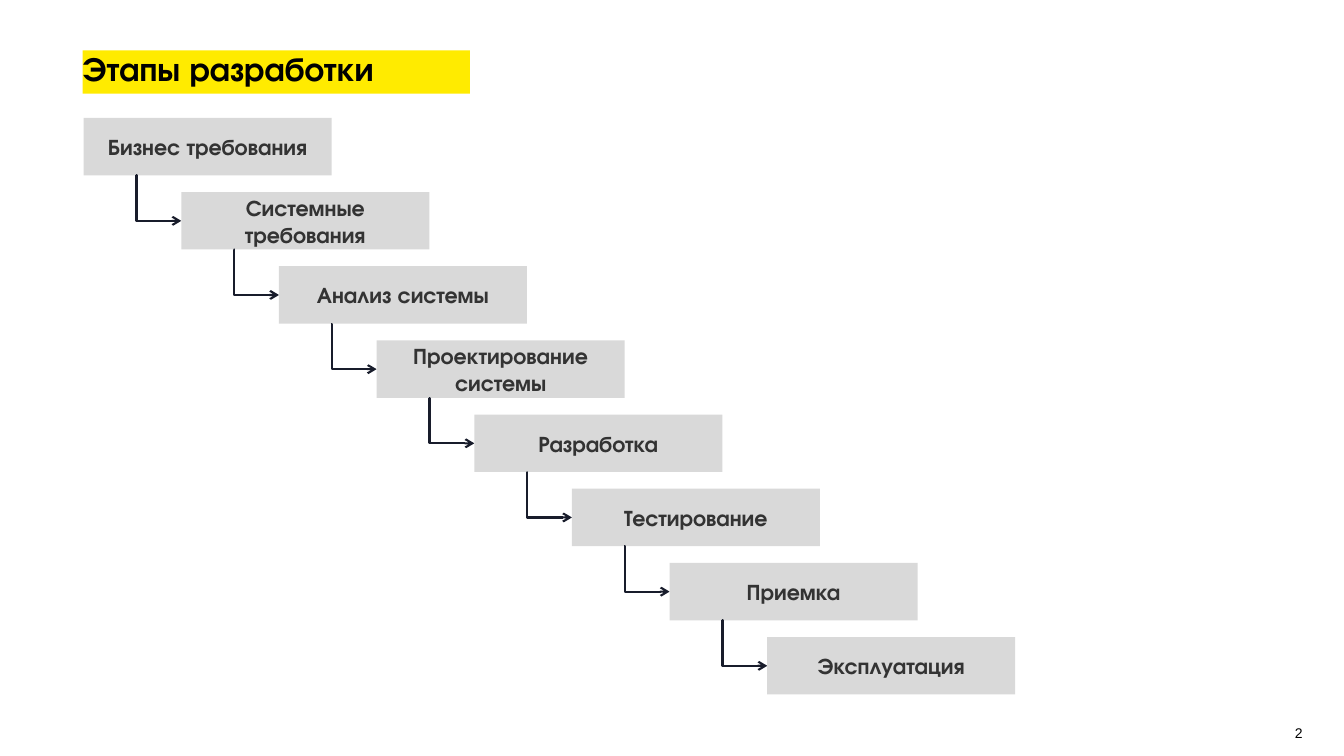
from pptx import Presentation
from pptx import util as u
from pptx.dml.color import RGBColor
from pptx.enum import shapes, text
from pptx.oxml import parse_xml
from pptx.oxml.ns import nsdecls, qn

YELLOW = RGBColor(0xFF, 0xEB, 0x00)
GREY = RGBColor(0xD9, 0xD9, 0xD9)
INK = RGBColor(0x33, 0x33, 0x33)
NAVY = RGBColor(0x18, 0x1C, 0x2B)
BLACK = RGBColor(0, 0, 0)
FACE = "TeX Gyre Adventor"
STAGES = ["Бизнес требования", "Системные требования", "Анализ системы",
          "Проектирование системы", "Разработка", "Тестирование",
          "Приемка", "Эксплуатация"]


def write(shape, words, size=16, face=FACE, color=INK, bold=True,
          align=text.PP_ALIGN.CENTER, anchor=text.MSO_ANCHOR.MIDDLE,
          inset=None, spacing=None):
    """Put formatted text into a shape."""
    frame = shape.text_frame
    frame.text = words
    frame.word_wrap = True
    frame.auto_size = text.MSO_AUTO_SIZE.NONE
    frame.vertical_anchor = anchor
    if inset is not None:
        frame.margin_left = frame.margin_right = u.Inches(inset)
        frame.margin_top = frame.margin_bottom = u.Inches(inset)
    line = frame.paragraphs[0]
    line.alignment = align
    line.line_spacing = spacing
    font = line.runs[0].font
    font.name, font.size, font.bold = face, u.Pt(size), bold
    font.color.rgb = color


def block(slide, left, top, width, height, color):
    """Add a plain filled rectangle."""
    rect = slide.shapes.add_shape(
        shapes.MSO_SHAPE.RECTANGLE, *map(u.Inches, (left, top, width, height)))
    rect.shadow.inherit = False
    rect.fill.solid()
    rect.fill.fore_color.rgb = color
    rect.line.fill.background()
    return rect


def arrow(slide, left, top, right, bottom):
    """Add an elbow arrow that goes down and then right."""
    link = slide.shapes.add_connector(
        shapes.MSO_CONNECTOR.ELBOW, *map(u.Inches, (left, top, right, bottom)))
    link.line.color.rgb = NAVY
    link.line.width = u.Pt(1.5)
    props = link._element.spPr
    props.find(".//" + qn("a:avLst")).append(
        parse_xml(f'<a:gd {nsdecls("a")} name="adj1" fmla="val 1000"/>'))
    props.find(qn("a:ln")).append(
        parse_xml(f'<a:tailEnd {nsdecls("a")} type="arrow"/>'))
    props.append(parse_xml(f'<a:effectLst {nsdecls("a")}/>'))


def head(slide, left, top, width, height):
    """Set the title over its yellow bar."""
    title = slide.shapes.title
    bar = block(slide, left, top, width, height, YELLOW)
    title._element.addprevious(bar._element)
    title.left, title.top = u.Inches(left), u.Inches(top + 0.02)
    title.width, title.height = u.Inches(3.38), u.Inches(0.83)
    write(title, "Этапы разработки", size=24, color=BLACK, inset=0,
          align=text.PP_ALIGN.LEFT, anchor=text.MSO_ANCHOR.TOP, spacing=0.9)


def stairs(slide, left, top, width, height):
    """Lay the stages out as a staircase that fills the box."""
    wide, high = 2.46, 0.57
    count = len(STAGES) - 1
    across, down = (width - wide) / count, (height - high) / count
    for step, stage in enumerate(STAGES):
        x, y = left + step * across, top + step * down
        write(block(slide, x, y, wide, high, GREY), stage)
        if step < count:
            arrow(slide, x + 0.52, y + high, x + across, y + down + high / 2)


def folio(slide, left, top, width, height):
    """Add the page number."""
    box = slide.shapes.add_textbox(*map(u.Inches, (left, top, width, height)))
    write(box, "2", size=10, face="Arial", color=BLACK, bold=False, inset=0,
          align=text.PP_ALIGN.RIGHT, anchor=text.MSO_ANCHOR.TOP)


def main():
    """Build and save the slide."""
    deck = Presentation()
    deck.slide_width, deck.slide_height = u.Inches(13.33), u.Inches(7.5)
    slide = deck.slides.add_slide(deck.slide_layouts.get_by_name("Title Only"))
    head(slide, 0.82, 0.5, 3.84, 0.43)
    stairs(slide, 0.83, 1.17, 9.24, 5.72)
    folio(slide, 12.08, 7.19, 0.84, 0.17)
    deck.save("out.pptx")


if __name__ == "__main__":
    main()
